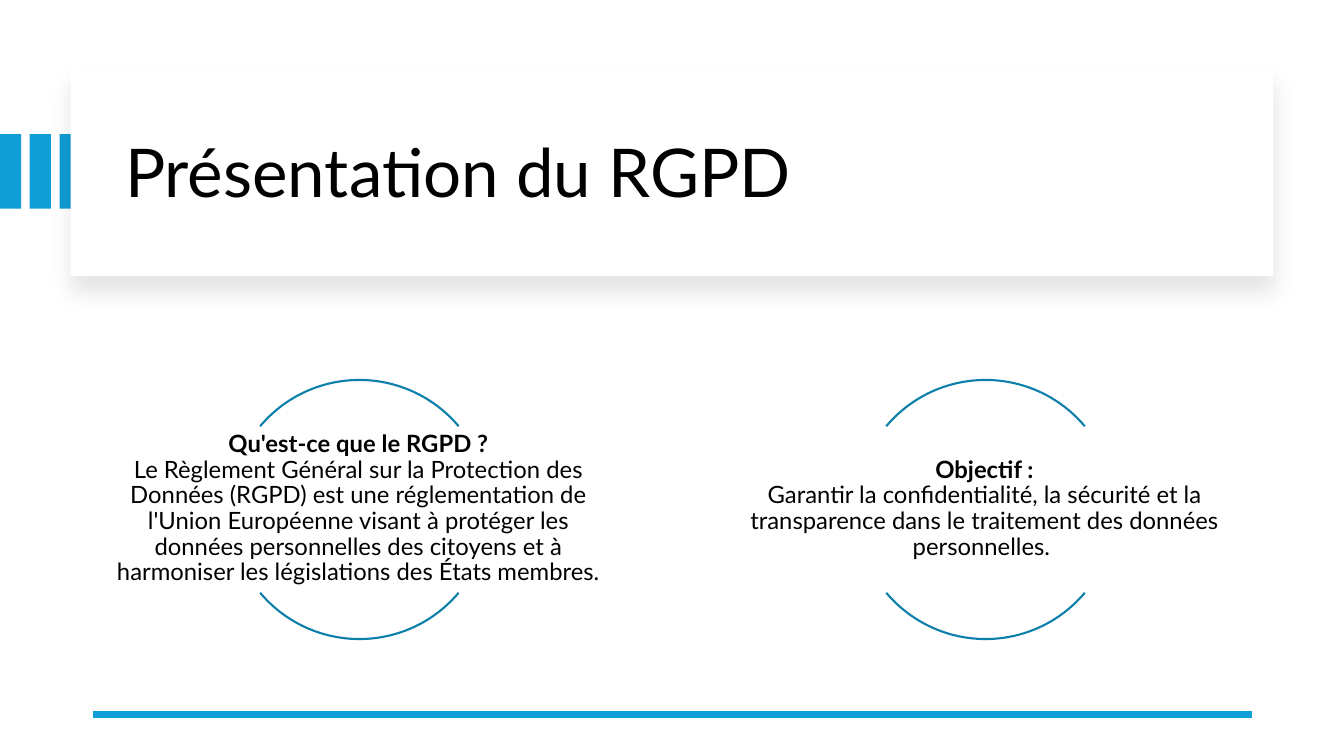
import lxml.etree
import pptx
import pptx.dml.color
import pptx.enum.shapes
import pptx.enum.text
import pptx.oxml
import pptx.oxml.ns
import pptx.util

Inches = pptx.util.Inches
SHAPES = pptx.enum.shapes.MSO_SHAPE
ALIGN = pptx.enum.text.PP_ALIGN
COLOURS = {"accent": "0F9ED5", "arc": "0C7FAB", "card": "FFFFFF", "text": "000000"}
FONT = "Lato"


class SlideBuilder:
    """Holds the style and the current slide."""

    def __init__(self, slide):
        self.slide = slide

    def colour(self, name):
        return pptx.dml.color.RGBColor.from_string(COLOURS[name])

    def box(self, x, y, width, height):
        return [Inches(value) for value in (x, y, width, height)]

    def group(self):
        return self.slide.shapes.add_group_shape()

    def rectangle(self, shapes, area, fill):
        shape = shapes.add_shape(SHAPES.RECTANGLE, *self.box(*area))
        shape.shadow.inherit = False
        shape.fill.solid()
        shape.fill.fore_color.rgb = self.colour(fill)
        shape.line.fill.background()
        return shape

    def card(self, area):
        shape = self.rectangle(self.slide.shapes, area, "card")
        effects = shape.element.spPr.find(pptx.oxml.ns.qn("a:effectLst"))
        effects.append(pptx.oxml.parse_xml(
            f'<a:outerShdw {pptx.oxml.ns.nsdecls("a")} blurRad="{pptx.util.Pt(15)}" '
            f'dist="{pptx.util.Pt(11)}" dir="5400000" algn="t" rotWithShape="0">'
            '<a:srgbClr val="000000"><a:alpha val="10000"/></a:srgbClr></a:outerShdw>'))

    def arc(self, shapes, area, angles):
        shape = shapes.add_shape(SHAPES.ARC, *self.box(*area))
        shape.shadow.inherit = False
        shape.fill.background()
        shape.line.color.rgb = self.colour("arc")
        shape.line.width = pptx.util.Pt(1.5)
        for index, angle in enumerate(angles):
            shape.adjustments[index] = angle * 0.6  # degrees to shape units

    def format_run(self, run, size, bold=False):
        run.font.name = FONT
        run.font.size = pptx.util.Pt(size)
        run.font.bold = bold
        run.font.color.rgb = self.colour("text")

    def title(self, text, area):
        title = self.slide.shapes.title
        title.left, title.top, title.width, title.height = self.box(*area)
        title.text_frame.text = text
        title.text_frame.vertical_anchor = pptx.enum.text.MSO_ANCHOR.MIDDLE
        paragraph = title.text_frame.paragraphs[0]
        paragraph.alignment = ALIGN.LEFT
        paragraph.line_spacing = 0.9
        self.format_run(paragraph.runs[0], 48)
        # Bring the title in front of its card
        title.element.getparent().append(title.element)

    def text(self, shapes, area, heading, body):
        frame = shapes.add_textbox(*self.box(*area)).text_frame
        frame.word_wrap = True
        frame.vertical_anchor = pptx.enum.text.MSO_ANCHOR.MIDDLE
        frame.margin_left = frame.margin_right = Inches(0.01)
        frame.margin_top = frame.margin_bottom = Inches(0.01)
        paragraph = frame.paragraphs[0]
        paragraph.text = f"{heading}\v{body}"
        paragraph.alignment = ALIGN.CENTER
        paragraph.line_spacing = 0.9
        for run, bold in zip(paragraph.runs, (True, False)):
            self.format_run(run, 17, bold)

    def line(self, start, end, width):
        connector = self.slide.shapes.add_connector(
            pptx.enum.shapes.MSO_CONNECTOR.STRAIGHT,
            *[Inches(value) for value in (*start, *end)])
        connector.line.color.rgb = self.colour("accent")
        connector.line.width = pptx.util.Pt(width)
        lxml.etree.SubElement(connector.element.spPr, pptx.oxml.ns.qn("a:effectLst"))


def main():
    presentation = pptx.Presentation()
    presentation.slide_width = Inches(13.33)
    presentation.slide_height = Inches(7.5)
    builder = SlideBuilder(presentation.slides.add_slide(presentation.slide_layouts[5]))

    # Stripes running under the title card
    stripes = builder.group()
    for index in range(3):
        builder.rectangle(stripes.shapes, (index * 0.295, 1.33, 0.21, 0.74), "accent")

    # Title card
    builder.card((0.7, 0.67, 11.93, 2.07))
    builder.title("Présentation du RGPD", (1.14, 0.89, 11.13, 1.7))

    # Bottom rule
    builder.line((12.42, 7.09), (0.92, 7.09), 4.5)

    # Two statements, each framed by an upper and a lower arc
    statements = [
        ("Qu'est-ce que le RGPD ?",
         "Le Règlement Général sur la Protection des Données (RGPD) est une "
         "réglementation de l'Union Européenne visant à protéger les données "
         "personnelles des citoyens et à harmoniser les législations des États membres."),
        ("Objectif :",
         "Garantir la confidentialité, la sécurité et la transparence dans le "
         "traitement des données personnelles. "),
    ]
    for index, (heading, body) in enumerate(statements):
        left = 0.99 + index * 6.21
        statement = builder.group()
        for angles in ((220, 320), (40, 140)):
            builder.arc(statement.shapes, (left + 1.29, 3.77, 2.57, 2.57), angles)
        builder.text(statement.shapes, (left, 4.23, 5.13, 1.64), heading, body)

    presentation.save("out.pptx")


if __name__ == "__main__":
    main()
